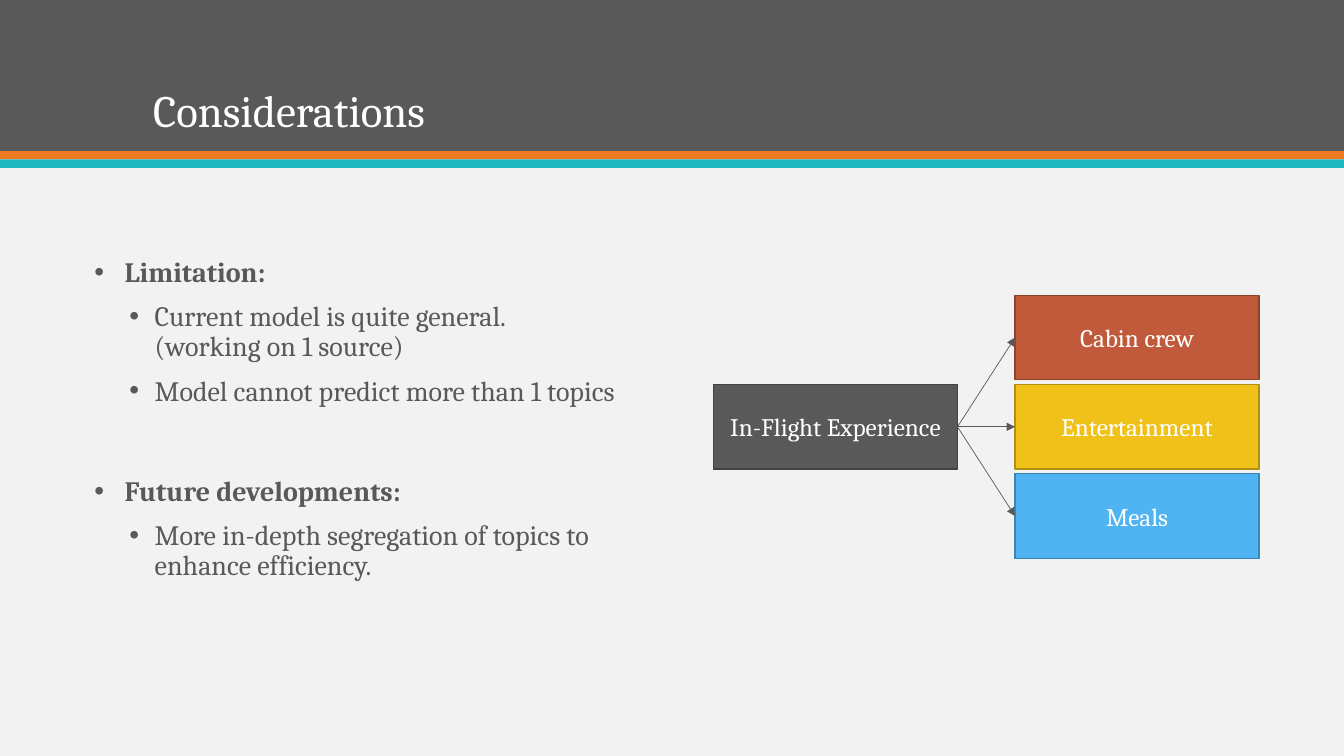
from lxml.etree import SubElement as Sub
from pptx import Presentation
from pptx.dml.color import RGBColor
from pptx.enum.shapes import MSO_CONNECTOR as Link, MSO_SHAPE as Shape
from pptx.enum.text import MSO_ANCHOR as Anchor, PP_ALIGN as Align
from pptx.oxml.ns import qn
from pptx.util import Cm, Pt

FONT = "Cambria"
GREY, WHITE = "595959", "FFFFFF"
WIDE, HIGH = 33.87, 19.05
TOPICS = [
    ("Cabin crew", "C05A3A", "8E432B"),
    ("Entertainment", "EFC119", "B18F12"),
    ("Meals", "50B4F2", "3B85B3"),
]
# text, level, space before in points
POINTS = [
    ("Limitation:", 0, 0),
    ("Current model is quite general. \v(working on 1 source)", 1, 10),
    ("Model cannot predict more than 1 topics", 1, 10),
    ("Future developments:", 0, 50),
    ("More in-depth segregation of topics to enhance efficiency.", 1, 10),
]


def color(code):
    return RGBColor.from_string(code)


def write(para, text, size=18, fill=WHITE, bold=False, align=Align.LEFT,
          lead=1.0, before=0):
    para.text = text
    para.alignment = align
    para.line_spacing = lead
    para.space_before = Pt(before)
    for run in para.runs:
        font = run.font
        font.name, font.size, font.bold = FONT, Pt(size), bold
        font.color.rgb = color(fill)


def bullet(para, left, hang):
    """Give a paragraph a hanging bullet; lengths in cm."""
    props = para._p.get_or_add_pPr()
    props.set("marL", str(Cm(left)))
    props.set("indent", str(-Cm(hang)))
    Sub(props, qn("a:buFont"), typeface="Arial")
    Sub(props, qn("a:buChar"), char="•")


def block(slide, x, y, w, h, fill, edge=None):
    rect = slide.shapes.add_shape(Shape.RECTANGLE, Cm(x), Cm(y), Cm(w), Cm(h))
    rect.shadow.inherit = False
    rect.fill.solid()
    rect.fill.fore_color.rgb = color(fill)
    if edge:
        rect.line.color.rgb = color(edge)
        rect.line.width = Pt(1)
    else:
        rect.line.fill.background()
    return rect


def label(slide, x, y, w, h, text, fill, edge):
    """Draw a box with centred text."""
    rect = block(slide, x, y, w, h, fill, edge)
    frame = rect.text_frame
    frame.word_wrap = True
    frame.vertical_anchor = Anchor.MIDDLE
    write(frame.paragraphs[0], text, align=Align.CENTER)
    return rect


def frame_at(slide, x, y, w, h):
    frame = slide.shapes.add_textbox(Cm(x), Cm(y), Cm(w), Cm(h)).text_frame
    frame.word_wrap = True
    return frame


def arrow(slide, start, end):
    """Join the right side of one box to the left side of another."""
    line = slide.shapes.add_connector(Link.STRAIGHT, 0, 0, 0, 0)
    line.begin_connect(start, 3)
    line.end_connect(end, 1)
    line.line.color.rgb = color(GREY)
    line.line.width = Pt(0.5)
    Sub(line.line._get_or_add_ln(), qn("a:tailEnd"), type="triangle")
    Sub(line._element.spPr, qn("a:effectLst"))


def header(slide, x, y, w, h):
    stripe = 0.21
    block(slide, x, y, w, h, GREY)
    for i, fill in enumerate(["EF7920", "1EB8C1"]):
        block(slide, x, y + h + i * stripe, w, stripe, fill)
    frame = frame_at(slide, x + 3.61, y + 0.71, 26.67, 2.87)
    frame.vertical_anchor = Anchor.BOTTOM
    write(frame.paragraphs[0], "Considerations", size=32, lead=0.9)


def points(slide, x, y, w, h):
    frame = frame_at(slide, x, y, w, h)
    for i, (text, level, before) in enumerate(POINTS):
        para = frame.add_paragraph() if i else frame.paragraphs[0]
        para.level = level
        write(para, text, size=20, fill=GREY, bold=level == 0,
              lead=0.9, before=before)
        bullet(para, 0.76 * (level + 1), 0.64 if level else 0.76)


def tree(slide, x, y, w, h):
    """Draw the root box on the left and its topics stacked on the right."""
    wide, high = 6.15, 2.13
    step = (h - high) / (len(TOPICS) - 1)
    root = label(slide, x, y + (h - high) / 2, wide, high,
                 "In-Flight Experience", GREY, "424242")
    for i, (text, fill, edge) in enumerate(TOPICS):
        leaf = label(slide, x + w - wide, y + i * step, wide, high,
                     text, fill, edge)
        arrow(slide, root, leaf)


def main():
    deck = Presentation()
    deck.slide_width, deck.slide_height = Cm(WIDE), Cm(HIGH)
    slide = deck.slides.add_slide(deck.slide_layouts[6])
    back = slide.background.fill
    back.solid()
    back.fore_color.rgb = color("F2F2F2")
    header(slide, 0, 0, WIDE, 3.81)
    points(slide, 2.13, 6.38, 15.11, 8.76)
    tree(slide, 17.98, 7.44, 13.75, 6.63)
    deck.save("out.pptx")


if __name__ == "__main__":
    main()
